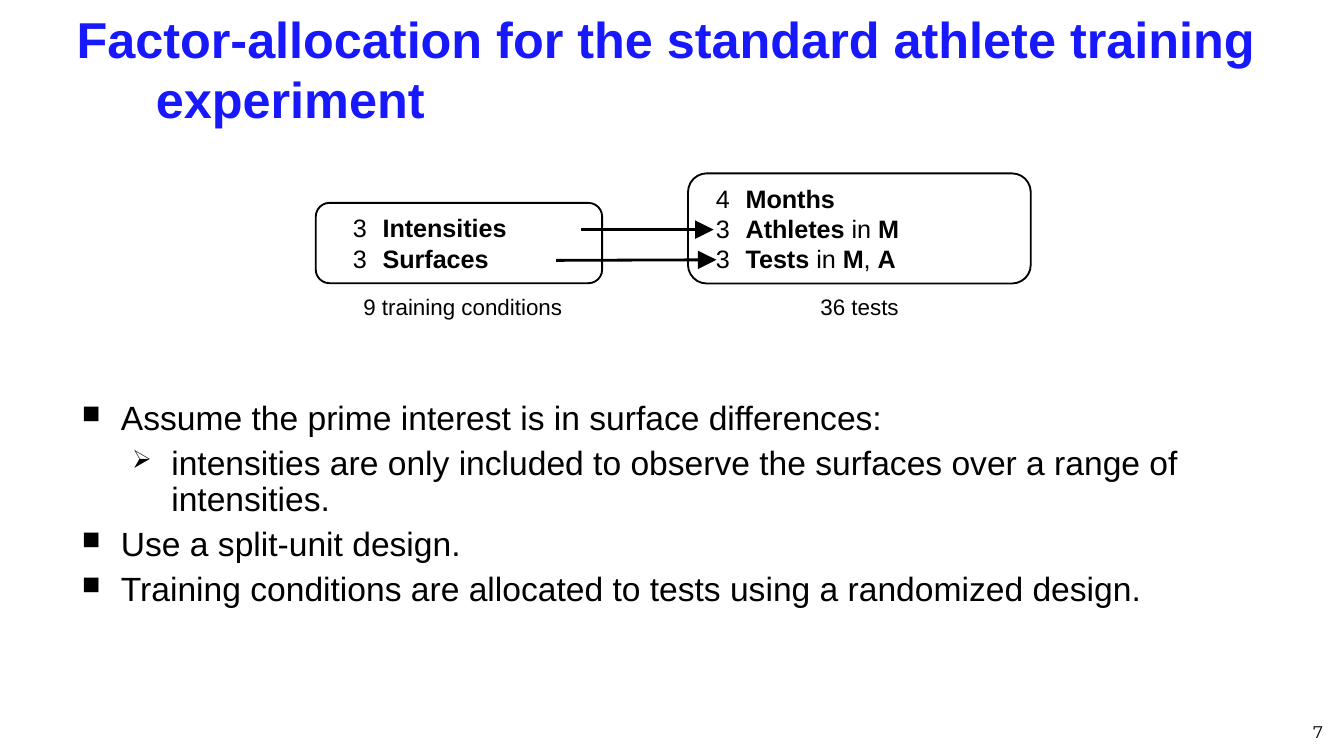
import pptx
import pptx.dml.color
import pptx.enum.shapes
import pptx.enum.text
import pptx.oxml.ns
import pptx.util
from lxml import etree

Pt = pptx.util.Pt
ALIGN = pptx.enum.text.PP_ALIGN
ANCHOR = pptx.enum.text.MSO_ANCHOR
COLORS = {"title": "1818FF", "ink": "000000"}
FACTOR_HANG = 16


def color(name):
    return pptx.dml.color.RGBColor.from_string(COLORS[name])


def add_element(parent, tag, **attributes):
    return etree.SubElement(parent, pptx.oxml.ns.qn(tag), **attributes)


def set_font(paragraph, size, ink="ink", name="Arial", bold=None):
    font = paragraph.font
    font.name, font.size, font.bold = name, Pt(size), bold
    font.color.rgb = color(ink)


def set_indent(paragraph, left, hang):
    properties = paragraph._p.get_or_add_pPr()
    properties.set("marL", str(Pt(left)))
    properties.set("indent", str(-Pt(hang)))
    return properties


def set_frame(frame, anchor, horizontal=7.2, vertical=3.6):
    frame.word_wrap = True
    frame.vertical_anchor = anchor
    frame.margin_left = frame.margin_right = Pt(horizontal)
    frame.margin_top = frame.margin_bottom = Pt(vertical)


def next_paragraph(frame, index):
    return frame.add_paragraph() if index else frame.paragraphs[0]


def add_title(page, text):
    title = page.shapes.title
    title.left, title.top, title.width, title.height = Pt(36), Pt(7.2), Pt(648), Pt(59)
    frame = title.text_frame
    set_frame(frame, ANCHOR.MIDDLE, 5, 2.9)
    frame.auto_size = pptx.enum.text.MSO_AUTO_SIZE.NONE
    frame.text = text
    paragraph = frame.paragraphs[0]
    paragraph.alignment = ALIGN.LEFT
    set_indent(paragraph, 42.5, 42.5)
    set_font(paragraph, 27, "title", bold=True)


def add_label(page, text, left, top, width, height, size, align,
              anchor=ANCHOR.TOP, name="Arial"):
    box = page.shapes.add_textbox(Pt(left), Pt(top), Pt(width), Pt(height))
    set_frame(box.text_frame, anchor)
    paragraph = box.text_frame.paragraphs[0]
    paragraph.text = text
    paragraph.alignment = align
    set_font(paragraph, size, name=name)


def add_factor_panel(page, left, top, width, height, indent, factors):
    """Draw a rounded panel of (level count, name) rows; * switches bold."""
    panel = page.shapes.add_shape(
        pptx.enum.shapes.MSO_SHAPE.ROUNDED_RECTANGLE,
        Pt(left), Pt(top), Pt(width), Pt(height))
    panel.adjustments[0] = 0.17
    panel.shadow.inherit = False
    panel.fill.background()
    panel.line.color.rgb = color("ink")
    panel.line.width = Pt(1)
    frame = panel.text_frame
    set_frame(frame, ANCHOR.MIDDLE)
    for index, (levels, name) in enumerate(factors):
        paragraph = next_paragraph(frame, index)
        paragraph.alignment = ALIGN.LEFT
        set_indent(paragraph, indent, FACTOR_HANG)
        set_font(paragraph, 13.5)
        for part, text in enumerate([f"{levels}\t"] + name.split("*")[1:]):
            if text:
                span = paragraph.add_run()
                span.text = text
                span.font.bold = part % 2 == 1


def add_arrow(page, start_x, start_y, end_x, end_y):
    arrow = page.shapes.add_connector(
        pptx.enum.shapes.MSO_CONNECTOR.STRAIGHT,
        Pt(start_x), Pt(start_y), Pt(end_x), Pt(end_y))
    arrow.line.color.rgb = color("ink")
    arrow.line.width = Pt(1.5)
    add_element(arrow.line._get_or_add_ln(), "a:tailEnd",
                type="triangle", w="lg", len="lg")
    add_element(arrow._element.spPr, "a:effectLst")


def add_bullets(page, left, top, width, height, items):
    box = page.shapes.add_textbox(Pt(left), Pt(top), Pt(width), Pt(height))
    frame = box.text_frame
    set_frame(frame, ANCHOR.TOP)
    for index, (level, text) in enumerate(items):
        paragraph = next_paragraph(frame, index)
        paragraph.text = text
        paragraph.level = level
        properties = set_indent(paragraph, (21, 48)[level], 21)
        bullet_color = add_element(properties, "a:buClr")
        add_element(bullet_color, "a:srgbClr", val=COLORS["ink"])
        add_element(properties, "a:buSzPct", val="75000")
        add_element(properties, "a:buChar", char="■➢"[level])
        paragraph.line_spacing = 0.9
        if index:
            paragraph.space_before = Pt(4.5)
        set_font(paragraph, 18)


def main():
    deck = pptx.Presentation()
    deck.slide_width, deck.slide_height = Pt(720), Pt(405)
    page = deck.slides.add_slide(deck.slide_layouts[5])

    add_title(page, "Factor-allocation for the standard athlete training experiment")
    add_label(page, "7", 545.8, 373.7, 170, 27.4, 9, ALIGN.RIGHT,
              ANCHOR.BOTTOM, "Montserrat")
    add_bullets(page, 36.7, 211.7, 683.3, 141, [
        (0, "Assume the prime interest is in surface differences:"),
        (1, "intensities are only included to observe the surfaces "
            "over a range of intensities."),
        (0, "Use a split-unit design."),
        (0, "Training conditions are allocated to tests using a randomized design."),
    ])

    add_arrow(page, 311.5, 123, 382.3, 123)
    add_arrow(page, 298, 139.5, 383.8, 139.2)

    add_factor_panel(page, 169.2, 108.7, 153.4, 43, 26.6,
                     [(3, "*Intensities"), (3, "*Surfaces")])
    add_label(page, "9 training conditions", 166.3, 153.4, 163.4, 21.6, 12, ALIGN.CENTER)

    add_factor_panel(page, 368.6, 92.9, 183.6, 59, 20.9, [
        (4, "*Months"), (3, "*Athletes* in *M"), (3, "*Tests* in *M*, *A")])
    add_label(page, "36 tests", 391, 153.4, 139, 21.6, 12, ALIGN.CENTER)

    deck.save("out.pptx")


if __name__ == "__main__":
    main()
